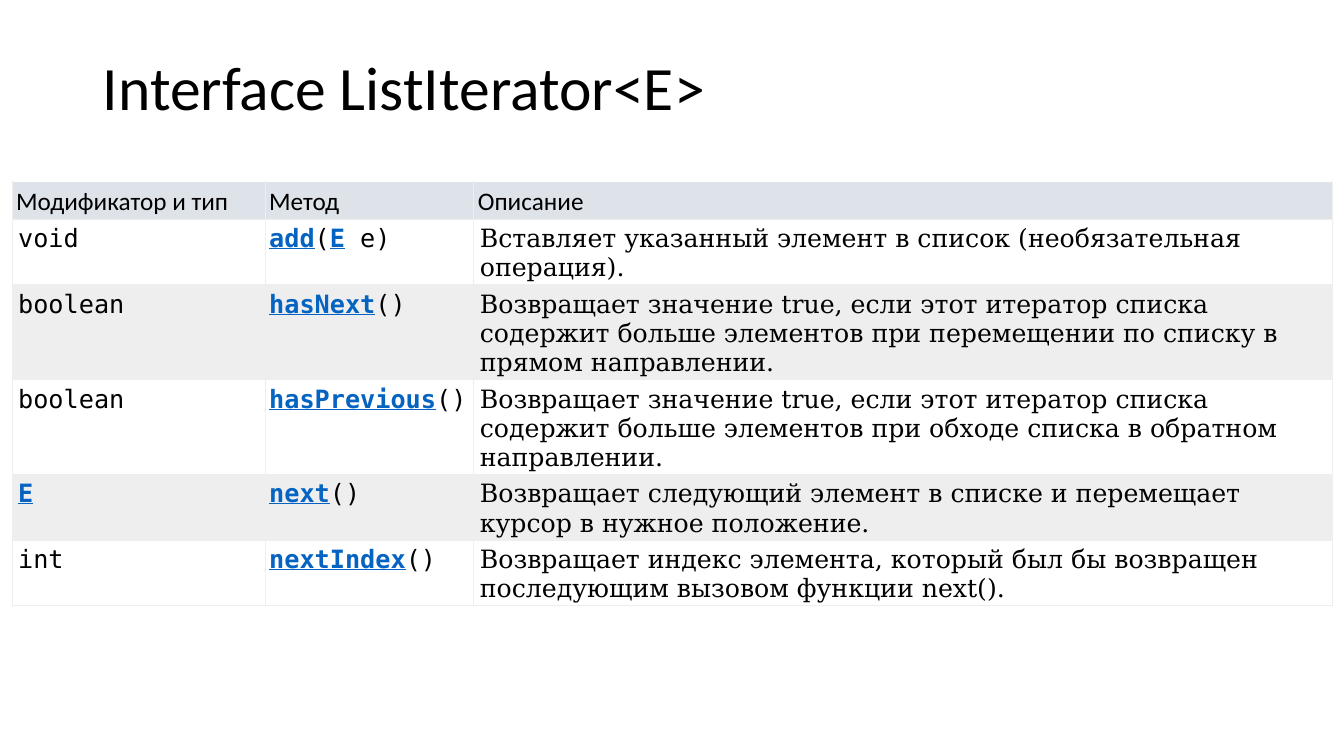
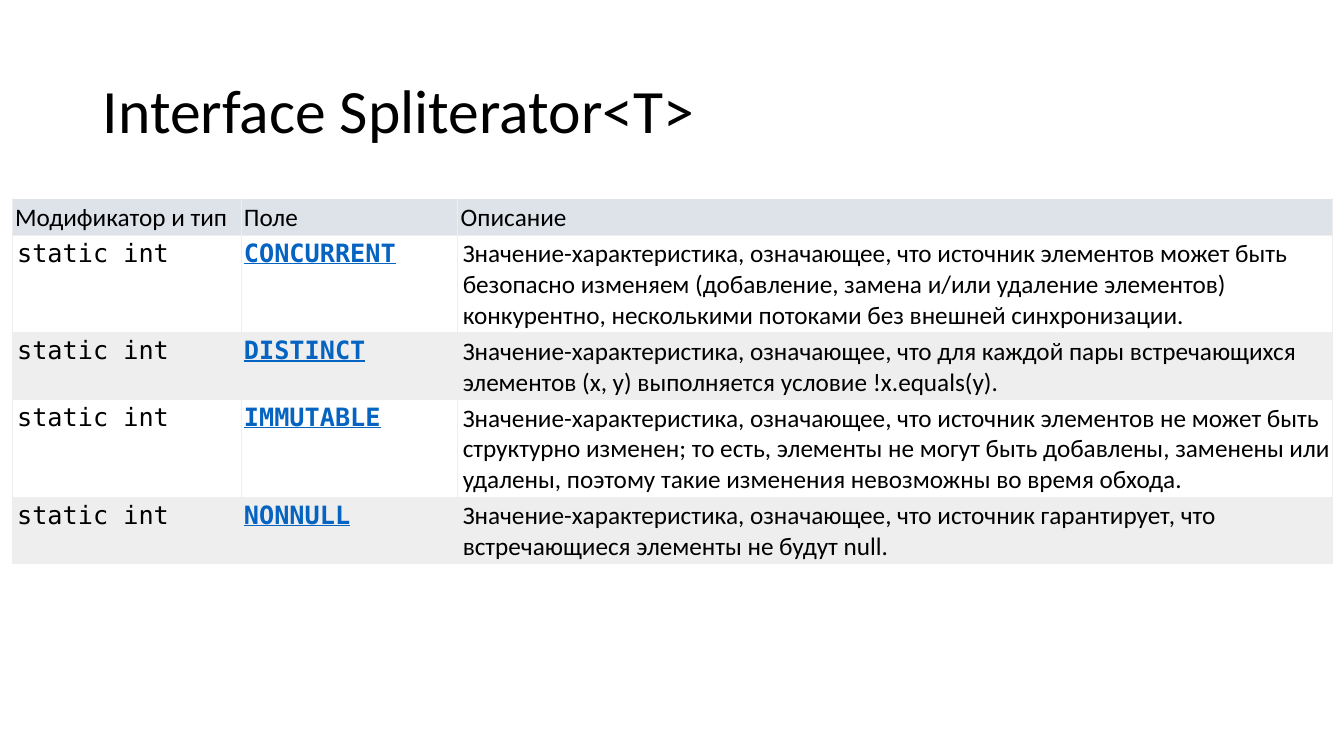
from lxml.etree import SubElement
from pptx import Presentation
from pptx.dml.color import RGBColor
from pptx.enum.text import MSO_ANCHOR as Anchor, MSO_AUTO_SIZE as AutoSize, PP_ALIGN as Align
from pptx.oxml.ns import qn
from pptx.util import Inches, Pt

BLACK, LINK, GRID = "000000", "0563C1", "EEEEEE"
HEAD, BANDS = "DEE3E9", ("FFFFFF", "EEEEEF")
SANS, MONO, SERIF = "Calibri", "DejaVu Sans Mono", "DejaVu Serif"


def write(p, text, size=18, font=SANS):
    for i, part in enumerate(text.split("*")):
        if part:
            linked = i % 2 == 1
            r = p.add_run()
            r.text = part
            r.font.size = Pt(size)
            r.font.name = font
            r.font.bold = r.font.underline = linked
            r.font.color.rgb = RGBColor.from_string(LINK if linked else BLACK)


def style_cell(cell, fill, sides, margins):
    cell.margin_left, cell.margin_top, cell.margin_right, cell.margin_bottom = map(Inches, margins)
    tcPr = cell._tc.get_or_add_tcPr()
    for side in sides:
        ln = SubElement(tcPr, qn(f"a:ln{side}"), w=str(Pt(0.6)))
        SubElement(SubElement(ln, qn("a:solidFill")), qn("a:srgbClr"), val=GRID)
    cell.fill.solid()
    cell.fill.fore_color.rgb = RGBColor.from_string(fill)


slides = [
    dict(
        title="Interface ListIterator<E>", title_box=(0.92, 0.17, 11.93, 1.45),
        top=1.8, cols=(2.51, 2.07, 8.51), heights=(0.36, 0.64, 0.93, 0.93, 0.64, 0.64),
        margins=(0.04, 0.05, 0.02, 0.02), font=SERIF,
        rows=[
            ("Модификатор и тип", "Метод", "Описание"),
            ("void", "*add*(*E* e)",
             "Вставляет указанный элемент в список (необязательная операция)."),
            ("boolean", "*hasNext*()",
             "Возвращает значение true, если этот итератор списка содержит больше элементов "
             "при перемещении по списку в прямом направлении."),
            ("boolean", "*hasPrevious*()",
             "Возвращает значение true, если этот итератор списка содержит больше элементов "
             "при обходе списка в обратном направлении."),
            ("*E*", "*next*()",
             "Возвращает следующий элемент в списке и перемещает курсор в нужное положение."),
            ("int", "*nextIndex*()",
             "Возвращает индекс элемента, который был бы возвращен последующим вызовом "
             "функции next()."),
        ],
    ),
    dict(
        title="Interface Spliterator<T>", title_box=(0.92, 0.4, 11.5, 1.45),
        top=1.97, cols=(2.27, 2.15, 8.67), heights=(0.36, 0.97, 0.66, 0.97, 0.66),
        margins=(0.03, 0.04, 0.01, 0.01), font=SANS,
        rows=[
            ("Модификатор и тип", "Поле", "Описание"),
            ("static int", "*CONCURRENT*",
             "Значение-характеристика, означающее, что источник элементов может быть безопасно "
             "изменяем (добавление, замена и/или удаление элементов) конкурентно, несколькими "
             "потоками без внешней синхронизации."),
            ("static int", "*DISTINCT*",
             "Значение-характеристика, означающее, что для каждой пары встречающихся элементов "
             "(x, y) выполняется условие !x.equals(y)."),
            ("static int", "*IMMUTABLE*",
             "Значение-характеристика, означающее, что источник элементов не может быть "
             "структурно изменен; то есть, элементы не могут быть добавлены, заменены или "
             "удалены, поэтому такие изменения невозможны во время обхода."),
            ("static int", "*NONNULL*",
             "Значение-характеристика, означающее, что источник гарантирует, что "
             "встречающиеся элементы не будут null."),
        ],
    ),
]

prs = Presentation()
prs.slide_width, prs.slide_height = Inches(13.33), Inches(7.5)

for data in slides:
    s = prs.slides.add_slide(prs.slide_layouts[5])
    title = s.shapes.title
    title.left, title.top, title.width, title.height = map(Inches, data["title_box"])
    tf = title.text_frame
    tf.auto_size = AutoSize.NONE
    tf.vertical_anchor = Anchor.MIDDLE
    p = tf.paragraphs[0]
    p.alignment = Align.LEFT
    p.line_spacing = 0.9
    write(p, data["title"], size=44)

    rows, cols, heights = data["rows"], data["cols"], data["heights"]
    table = s.shapes.add_table(len(rows), len(cols), Inches(0.12), Inches(data["top"]),
                               Inches(sum(cols)), Inches(sum(heights))).table
    table.first_row = table.horz_banding = False
    for col, width in zip(table.columns, cols):
        col.width = Inches(width)
    for row, height in zip(table.rows, heights):
        row.height = Inches(height)

    left, *others = data["margins"]
    for i, texts in enumerate(rows):
        for j, text in enumerate(texts):
            cell = table.cell(i, j)
            p = cell.text_frame.paragraphs[0]
            if i == 0:
                style_cell(cell, HEAD, "LRB", (left, *others))
                write(p, text)
                continue
            indent = left if j == 1 else left + 0.02
            style_cell(cell, BANDS[(i - 1) % 2], "LRTB", (indent, *others))
            if j == 2:
                p.space_before, p.space_after = Pt(2.2), Pt(1.5)
            write(p, text, font=data["font"] if j == 2 else MONO)

prs.save("out.pptx")
